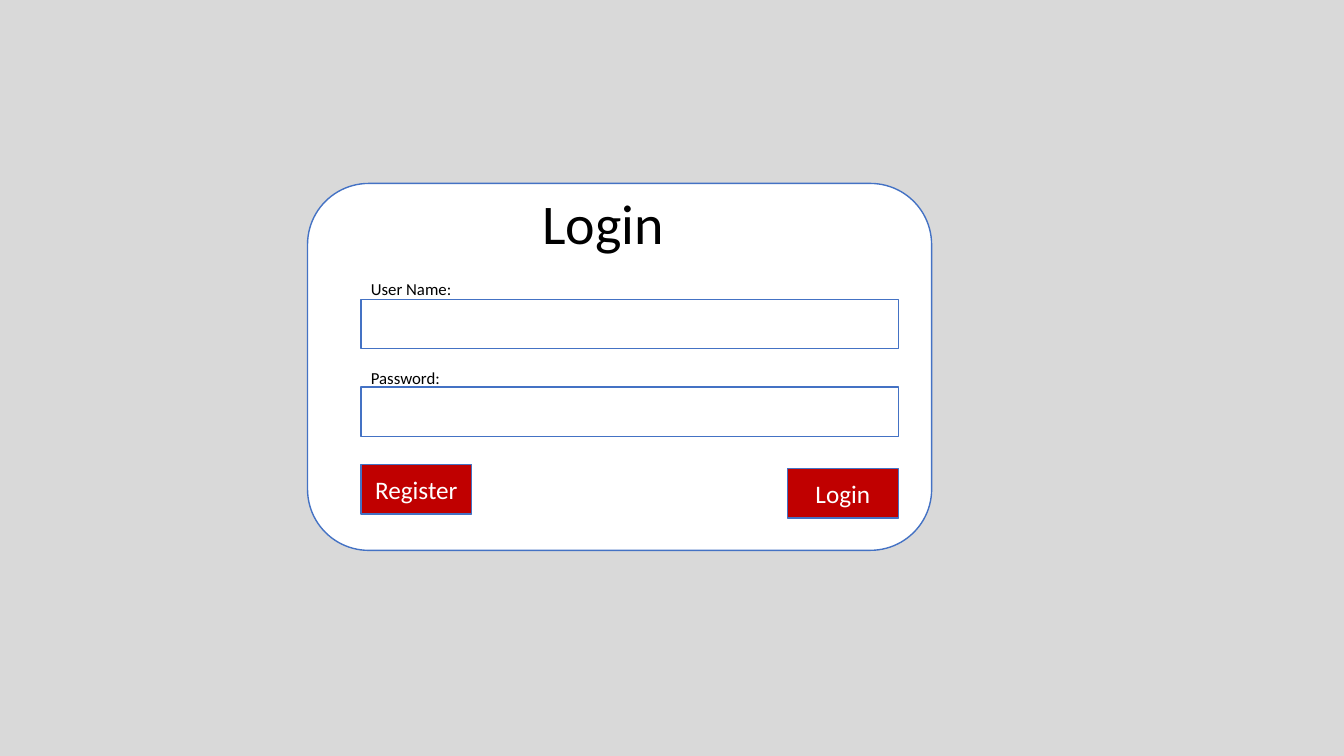
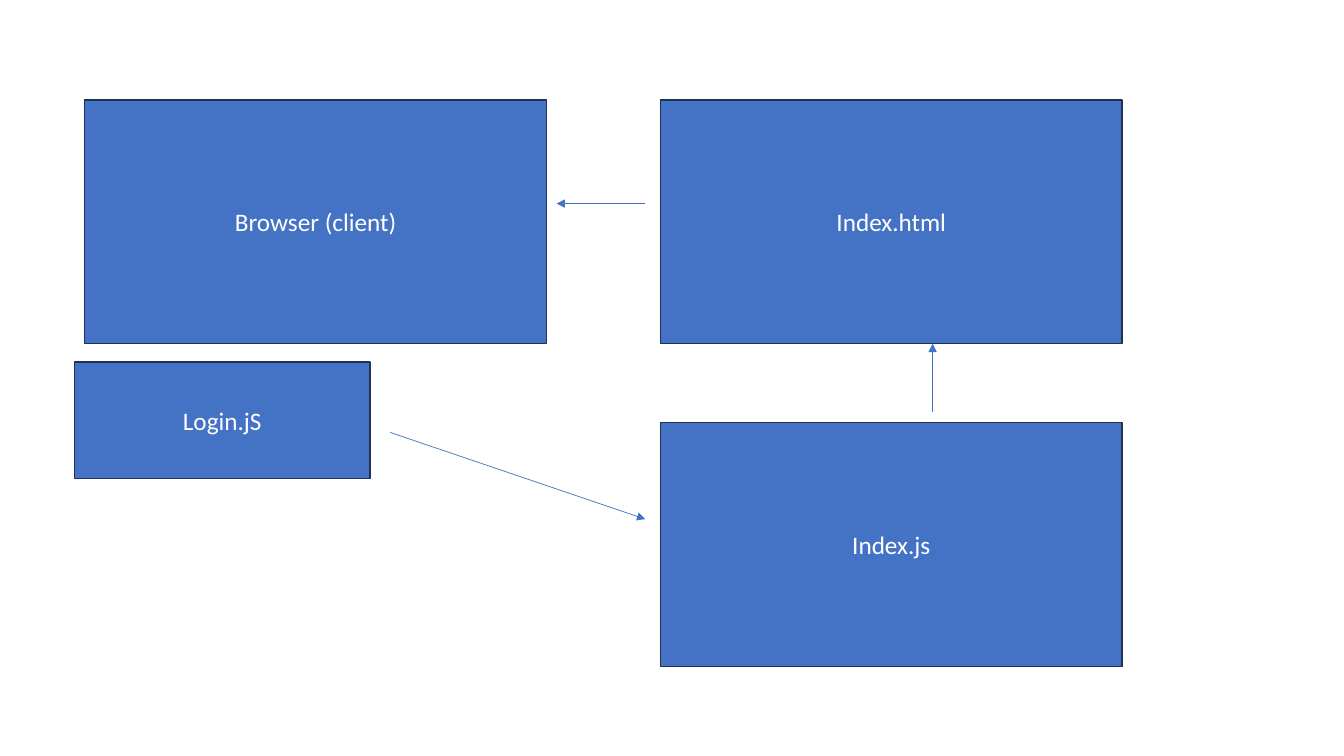
import pptx
import pptx.util
import pptx.dml.color
import pptx.enum.shapes
import pptx.enum.text
import pptx.oxml.ns
import lxml.etree

Inches = pptx.util.Inches
Pt = pptx.util.Pt
SHAPE = pptx.enum.shapes.MSO_SHAPE
ALIGN = pptx.enum.text.PP_ALIGN
ANCHOR = pptx.enum.text.MSO_ANCHOR

FONT = "Calibri"
BLUE, NAVY, RED = "4472C4", "1E3256", "C00000"
WHITE, BLACK, GREY = "FFFFFF", "000000", "D9D9D9"

HEADING = "Login"
CARD = (3.05, 1.82, 6.19, 3.64)
HEADING_BOX = (5.27, 1.82, 1.42, 0.77)
FORM_LEFT, FORM_WIDTH, FIELD_HEIGHT = 3.58, 5.33, 0.49
BUTTON_WIDTH = 1.1
FIELDS = [("User Name:", 2.72, 2.97), ("Password:", 3.6, 3.84)]
BUTTONS = [
    ("Register", FORM_LEFT, 4.61),
    ("Login", FORM_LEFT + FORM_WIDTH - BUTTON_WIDTH, 4.65),
]

MODULE_SIZE = (4.58, 2.42)
MODULES = [
    ("Browser (client)", (0.84, 0.99, *MODULE_SIZE)),
    ("Index.html", (6.55, 0.99, *MODULE_SIZE)),
    ("Index.js", (6.55, 4.19, *MODULE_SIZE)),
    ("Login.jS", (0.74, 3.59, 2.93, 1.16)),
]
ARROWS = [
    ((3.87, 4.29), (6.4, 5.15)),
    ((9.25, 4.09), (9.25, 3.41)),
    ((6.4, 2.02), (5.52, 2.02)),
]


def rgb(value):
    return pptx.dml.color.RGBColor.from_string(value)


def inches(values):
    return [Inches(value) for value in values]


def set_background(slide, color):
    slide.background.fill.solid()
    slide.background.fill.fore_color.rgb = rgb(color)


def write(frame, text, size, color, align=ALIGN.CENTER):
    frame.text = text
    paragraph = frame.paragraphs[0]
    paragraph.alignment = align
    paragraph.font.name = FONT
    paragraph.font.size = Pt(size)
    paragraph.font.color.rgb = rgb(color)


def add_box(slide, box, fill, outline, text="", preset=SHAPE.RECTANGLE):
    shape = slide.shapes.add_shape(preset, *inches(box))
    shape.shadow.inherit = False
    shape.fill.solid()
    shape.fill.fore_color.rgb = rgb(fill)
    shape.line.color.rgb = rgb(outline)
    shape.line.width = Pt(1)
    if text:
        shape.text_frame.vertical_anchor = ANCHOR.MIDDLE
        write(shape.text_frame, text, 18, WHITE)
    return shape


def add_label(slide, text, top):
    label = slide.shapes.add_textbox(*inches((FORM_LEFT, top, 1.98, 0.3)))
    label.text_frame.word_wrap = True
    write(label.text_frame, text, 12, BLACK, ALIGN.LEFT)


def add_arrow(slide, start, end):
    arrow = slide.shapes.add_connector(
        pptx.enum.shapes.MSO_CONNECTOR.STRAIGHT, *inches(start + end))
    arrow.line.color.rgb = rgb(BLUE)
    arrow.line.width = Pt(0.5)
    qn = pptx.oxml.ns.qn
    properties = arrow.element.spPr
    lxml.etree.SubElement(properties.find(qn("a:ln")), qn("a:tailEnd"), type="triangle")
    lxml.etree.SubElement(properties, qn("a:effectLst"))


def build_login(deck):
    slide = deck.slides.add_slide(deck.slide_layouts.get_by_name("Title Only"))
    set_background(slide, GREY)
    card = add_box(slide, CARD, WHITE, BLUE, preset=SHAPE.ROUNDED_RECTANGLE)

    heading = slide.shapes.title
    card.element.addnext(heading.element)
    heading.left, heading.top, heading.width, heading.height = inches(HEADING_BOX)
    frame = heading.text_frame
    frame.word_wrap = False
    frame.auto_size = pptx.enum.text.MSO_AUTO_SIZE.NONE
    frame.vertical_anchor = ANCHOR.TOP
    write(frame, HEADING, 40, BLACK)

    for _, _, field_top in FIELDS:
        add_box(slide, (FORM_LEFT, field_top, FORM_WIDTH, FIELD_HEIGHT), WHITE, BLUE)
    for text, label_top, _ in FIELDS:
        add_label(slide, text, label_top)
    for text, left, top in BUTTONS:
        add_box(slide, (left, top, BUTTON_WIDTH, FIELD_HEIGHT), RED, BLUE, text)


def build_modules(deck):
    slide = deck.slides.add_slide(deck.slide_layouts.get_by_name("Blank"))
    set_background(slide, WHITE)
    for text, box in MODULES:
        add_box(slide, box, BLUE, NAVY, text)
    for start, end in ARROWS:
        add_arrow(slide, start, end)


def main():
    deck = pptx.Presentation()
    deck.slide_width, deck.slide_height = inches((13.33, 7.5))
    build_login(deck)
    build_modules(deck)
    deck.save("out.pptx")


if __name__ == "__main__":
    main()
